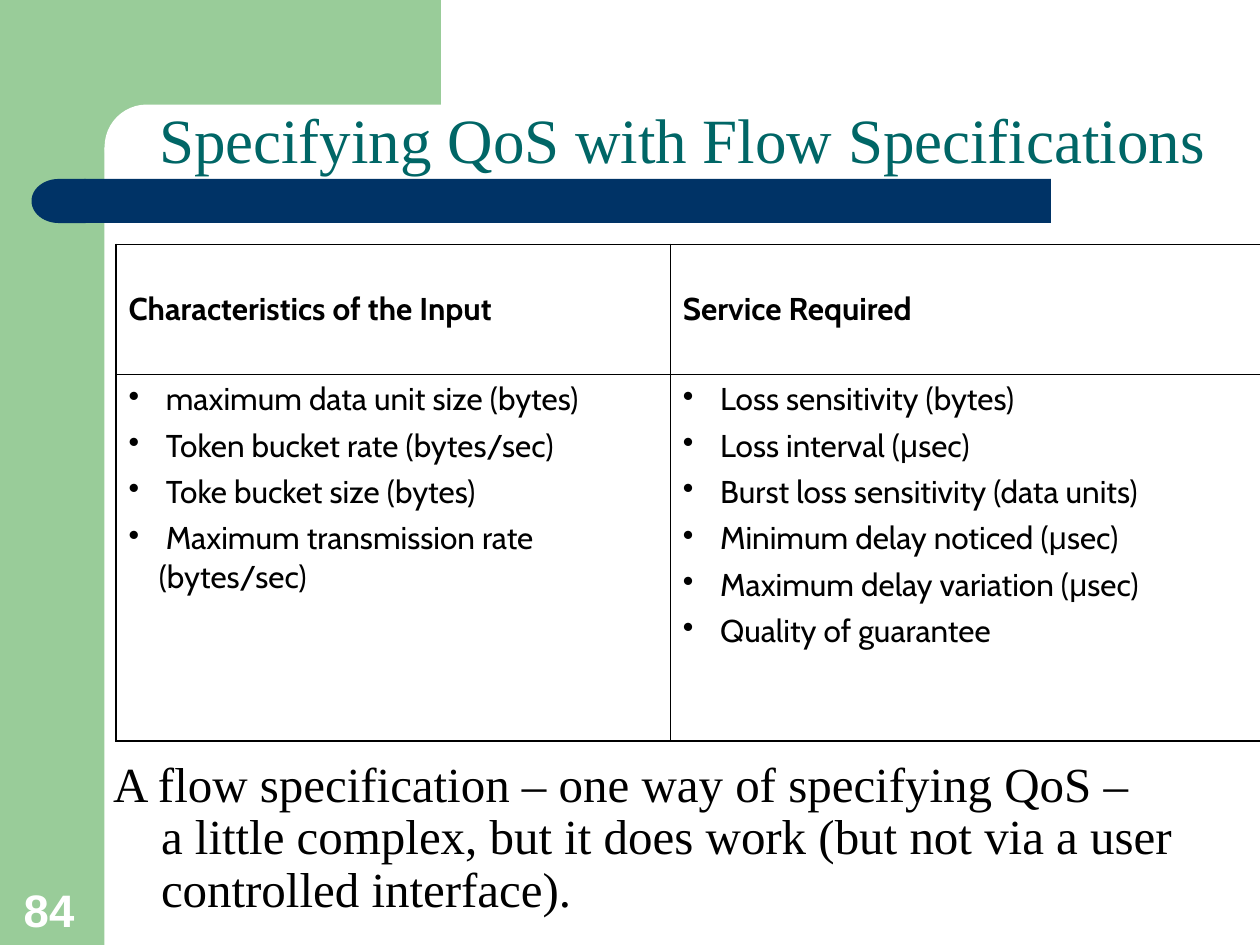
from lxml.etree import SubElement
from pptx import Presentation
from pptx.dml.color import RGBColor
from pptx.enum.shapes import MSO_SHAPE
from pptx.enum.text import MSO_ANCHOR, PP_ALIGN
from pptx.oxml.ns import qn
from pptx.util import Inches, Pt

GREEN = RGBColor(0x99, 0xCC, 0x99)
NAVY = RGBColor(0x00, 0x33, 0x66)
TEAL = RGBColor(0x00, 0x66, 0x66)
WHITE = RGBColor(0xFF, 0xFF, 0xFF)
BLACK = RGBColor(0x00, 0x00, 0x00)
OUTER_LINE = Pt(1.08)
INNER_LINE = Pt(0.45)


def add_span(para, text, font, size, color, bold=False):
    span = para.add_run()
    span.text = text
    formats = {"name": font, "size": Pt(size), "bold": bold}
    for name, value in formats.items():
        setattr(span.font, name, value)
    span.font.color.rgb = color


def add_border(cell, side, width):
    line = SubElement(cell.fill._xPr, qn(f"a:{side}"), w=str(width))
    fill = SubElement(line, qn("a:solidFill"))
    SubElement(fill, qn("a:srgbClr"), val=str(BLACK))


deck = Presentation()
deck.slide_width = Inches(10)
deck.slide_height = Inches(7.5)
page = deck.slides.add_slide(deck.slide_layouts[6])

decorations = [
    (MSO_SHAPE.RECTANGLE, 0, 0, 0.83, 7.5, GREEN, 0),
    (MSO_SHAPE.RECTANGLE, 0.75, 0, 2.75, 1.17, GREEN, 0),
    (MSO_SHAPE.ROUNDED_RECTANGLE, 0.83, 0.83, 3.42, 0.67, WHITE, 0),
    (MSO_SHAPE.RECTANGLE, 0.67, 1.42, 7.67, 0.35, NAVY, 0),
    (MSO_SHAPE.FLOWCHART_DELAY, 0.25, 1.42, 0.43, 0.35, NAVY, 180),
]
for kind, left, top, width, height, color, rotation in decorations:
    shape = page.shapes.add_shape(kind, Inches(left), Inches(top), Inches(width), Inches(height))
    shape.shadow.inherit = False
    shape.fill.solid()
    shape.fill.fore_color.rgb = color
    shape.line.fill.background()
    shape.rotation = rotation
    if kind == MSO_SHAPE.ROUNDED_RECTANGLE:
        shape.adjustments[0] = 0.5

texts = [
    ("84", 0.09, 6.94, 0.64, 0.54, MSO_ANCHOR.BOTTOM, PP_ALIGN.LEFT, "Arial", 26, WHITE, True),
    ("Specifying QoS with Flow Specifications", 0.83, 0.78, 9.17, 0.67,
     MSO_ANCHOR.BOTTOM, PP_ALIGN.CENTER, "Times New Roman", 36, TEAL, False),
    ("A flow specification – one way of specifying QoS – \v"
     "a little complex, but it does work (but not via a user controlled interface).",
     0.8, 5.98, 9.2, 1.52, MSO_ANCHOR.TOP, PP_ALIGN.LEFT, "Times New Roman", 28, BLACK, False),
]
for text, left, top, width, height, anchor, align, font, size, color, bold in texts:
    box = page.shapes.add_textbox(Inches(left), Inches(top), Inches(width), Inches(height))
    box.text_frame.word_wrap = True
    box.text_frame.vertical_anchor = anchor
    para = box.text_frame.paragraphs[0]
    para.alignment = align
    for index, part in enumerate(text.split("\v")):
        if index:
            para.add_line_break()
            para.line_spacing = 0.9
            para._p.get_or_add_pPr().set("marL", str(Inches(0.38)))
            para._p.get_or_add_pPr().set("indent", str(Inches(-0.38)))
        add_span(para, part, font, size, color, bold)

headings = ["Characteristics of the Input", "Service Required"]
lists = [
    [
        " maximum data unit size (bytes)",
        " Token bucket rate (bytes/sec)",
        " Toke bucket size (bytes)",
        " Maximum transmission rate (bytes/sec)",
    ],
    [
        " Loss sensitivity (bytes)",
        " Loss interval (μsec)",
        " Burst loss sensitivity (data units)",
        " Minimum delay noticed (μsec)",
        " Maximum delay variation (μsec)",
        " Quality of guarantee",
    ],
]
table = page.shapes.add_table(
    2, 2, Inches(0.92), Inches(1.94), Inches(9.09), Inches(3.94)
).table
table.first_row = False
table.horz_banding = False
for column, width in zip(table.columns, [4.4, 4.69]):
    column.width = Inches(width)
for row, height in zip(table.rows, [1.03, 2.91]):
    row.height = Inches(height)

for row in range(2):
    for column in range(2):
        cell = table.cell(row, column)
        cell.vertical_anchor = MSO_ANCHOR.TOP if row else MSO_ANCHOR.MIDDLE
        outer_sides = {"lnL": column == 0, "lnR": column == 1, "lnT": row == 0, "lnB": row == 1}
        for side, outer in outer_sides.items():
            add_border(cell, side, OUTER_LINE if outer else INNER_LINE)
        cell.fill.background()
        lines = lists[column] if row else [headings[column]]
        for index, text in enumerate(lines):
            para = cell.text_frame.paragraphs[0] if index == 0 else cell.text_frame.add_paragraph()
            if index:
                para.space_before = Pt(4.5)
            if row:
                properties = para._p.get_or_add_pPr()
                properties.set("marL", str(Inches(0.24)))
                properties.set("indent", str(Inches(-0.24)))
                bullet_color = SubElement(properties, qn("a:buClr"))
                SubElement(bullet_color, qn("a:srgbClr"), val=str(BLACK))
                SubElement(properties, qn("a:buChar"), char="•")
            before, symbol, after = text.partition("μ")
            for part, font in [(before, "Cabin"), (symbol, "Arial"), (after, "Cabin")]:
                if part:
                    add_span(para, part, font, 18, BLACK, row == 0)

deck.save("out.pptx")
